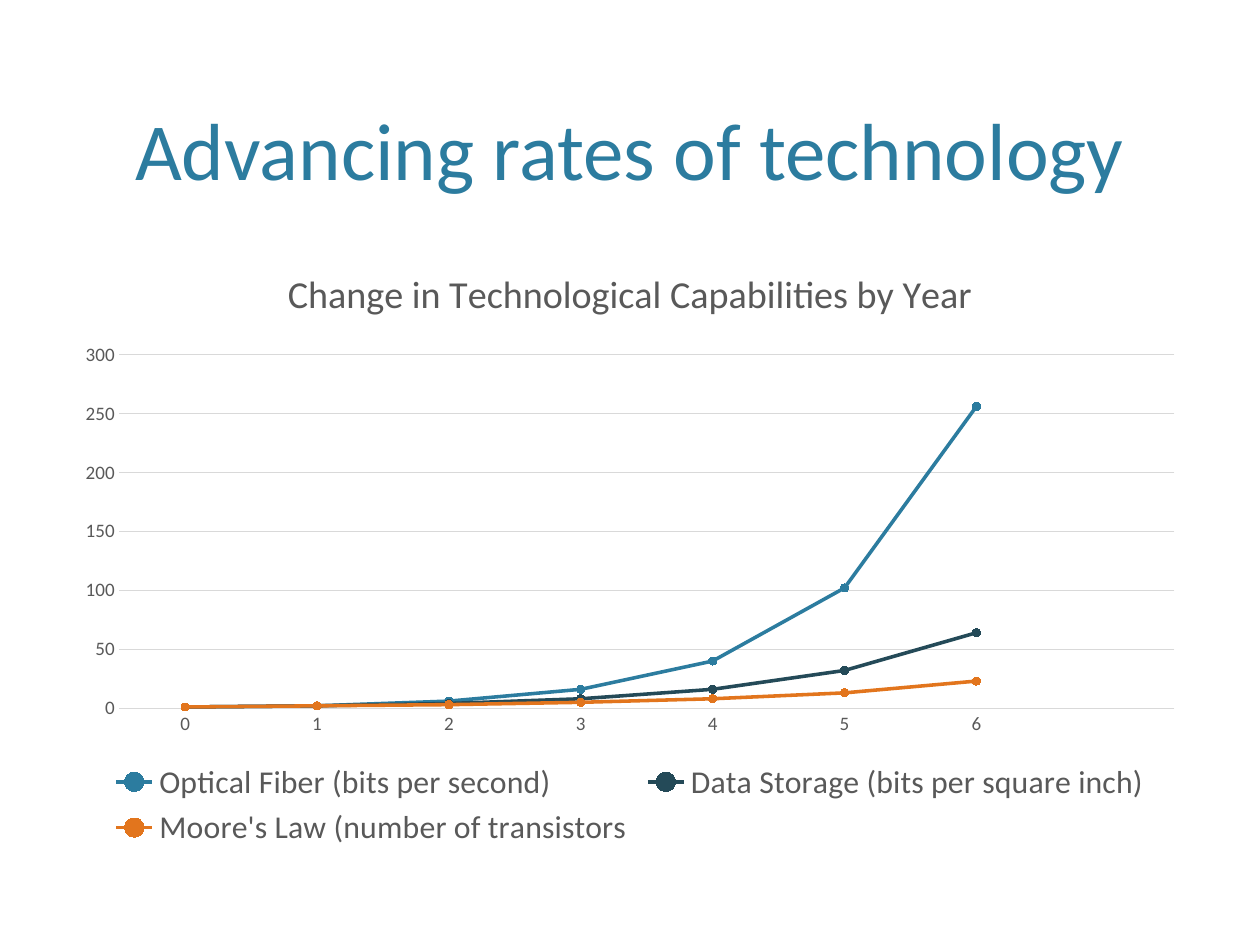
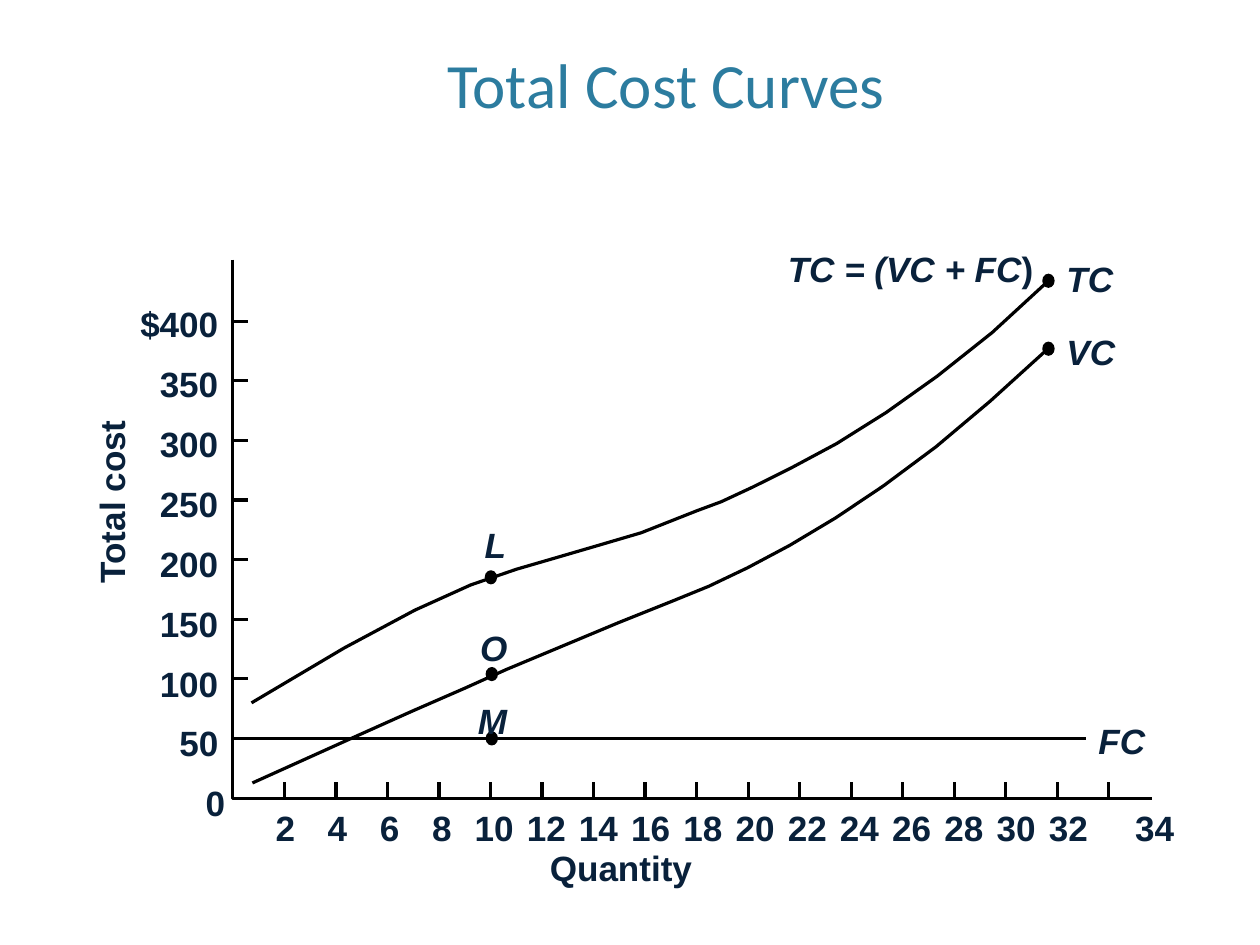
from pptx import Presentation
from pptx.chart.data import CategoryChartData
from pptx.dml.color import RGBColor
from pptx.enum.chart import (XL_CHART_TYPE, XL_LEGEND_POSITION,
                             XL_MARKER_STYLE, XL_TICK_MARK)
from pptx.enum.shapes import MSO_CONNECTOR, MSO_SHAPE
from pptx.enum.text import MSO_ANCHOR, PP_ALIGN
from pptx.oxml.ns import qn
from pptx.util import Cm, Pt
from lxml import etree

TEAL, NAVY, BLACK = "2C7C9F", "09213B", "000000"
GREY, LIGHT_GREY = "595959", "D9D9D9"
LEFT, CENTER, RIGHT = PP_ALIGN.LEFT, PP_ALIGN.CENTER, PP_ALIGN.RIGHT

# Slide 1
CHART_TITLE = "Change in Technological Capabilities by Year"
YEARS = ["0", "1", "2", "3", "4", "5", "6", ""]
RATES = [
    ("Optical Fiber (bits per second)", TEAL, [1, 2, 6, 16, 40, 102, 256, None]),
    ("Data Storage (bits per square inch)", "244A58", [1, 2, 4, 8, 16, 32, 64, None]),
    ("Moore's Law (number of transistors", "E2751D", [1, 2, 3, 5, 8, 13, 23, None]),
]

# Slide 2, lengths in centimetres
AXIS_X, AXIS_Y = 5.16, 17.75
AXES = [(AXIS_X, 5.77), (AXIS_X, AXIS_Y), (25.6, AXIS_Y)]
FC_Y = 16.41
TC_CURVE = [
    (5.59, 15.62), (7.65, 14.4), (9.22, 13.56), (10.46, 13), (11.48, 12.65),
    (12.34, 12.4), (13.23, 12.14), (14.25, 11.84), (15.49, 11.35),
    (16.03, 11.15), (16.74, 10.82), (17.6, 10.39), (18.59, 9.86),
    (19.69, 9.17), (20.83, 8.36), (22.05, 7.39), (23.29, 6.25),
]
VC_CURVE = [
    (5.61, 17.4), (7.65, 16.48), (9.17, 15.8), (10.34, 15.29), (11.25, 14.88),
    (12.04, 14.55), (12.83, 14.22), (13.74, 13.84), (14.94, 13.36),
    (15.75, 13.03), (16.61, 12.62), (17.55, 12.12), (18.57, 11.51),
    (19.63, 10.8), (20.8, 9.93), (22, 8.92), (23.29, 7.75),
]
DOTS = [(10.91, 12.83), (10.93, 14.98), (10.93, FC_Y), (23.3, 6.24), (23.3, 7.75)]
COSTS = ["$400", "350", "300", "250", "200", "150", "100", "50"]
QUANTITIES = [str(q) for q in range(2, 33, 2)]
POINT_LABELS = [
    ("L", 10.77, 11.63), ("O", 10.67, 13.92), ("M", 10.62, 15.54),
    ("TC", 23.7, 5.72), ("VC", 23.7, 7.34), ("FC", 24.41, 15.98),
]
FORMULA = [("TC = (VC + FC", True), (")", False)]


def rgb(color):
    return RGBColor.from_string(color)


def evenly(start, end, count):
    return [start + i * (end - start) / (count - 1) for i in range(count)]


def set_font(font, size, color, name="Calibri", bold=False, italic=False):
    font.size, font.name = Pt(size), name
    font.bold, font.italic = bold, italic
    font.color.rgb = rgb(color)


def add_text(slide, content, x, y, w, h=1, align=LEFT, anchor=MSO_ANCHOR.TOP,
             rotation=0, size=22.1, color=NAVY, name="Arial", bold=True,
             italic=False):
    """Add a box without insets; content is a string or (text, italic) runs."""
    sp = slide.shapes.add_textbox(Cm(x), Cm(y), Cm(w), Cm(h))
    sp.rotation = rotation
    tf = sp.text_frame
    tf.word_wrap = True
    tf.vertical_anchor = anchor
    tf.margin_left = tf.margin_right = tf.margin_top = tf.margin_bottom = 0
    p = tf.paragraphs[0]
    p.alignment = align
    runs = [(content, italic)] if isinstance(content, str) else content
    for text, slanted in runs:
        r = p.add_run()
        r.text = text
        set_font(r.font, size, color, name, bold, slanted)


def add_title(slide, text, x, y, w, h, size):
    add_text(slide, text, x, y, w, h, align=CENTER, anchor=MSO_ANCHOR.BOTTOM,
             size=size, color=TEAL, name="Calibri", bold=False)


def set_line(line, color=BLACK, width=2):
    line.color.rgb = rgb(color)
    line.width = Pt(width)


def add_line(slide, x1, y1, x2, y2):
    ln = slide.shapes.add_connector(MSO_CONNECTOR.STRAIGHT,
                                    Cm(x1), Cm(y1), Cm(x2), Cm(y2))
    set_line(ln.line)
    etree.SubElement(ln._element.spPr, qn("a:effectLst"))


def add_polyline(slide, points):
    points = [(Cm(x), Cm(y)) for x, y in points]
    builder = slide.shapes.build_freeform(*points[0])
    builder.add_line_segments(points[1:], close=False)
    sp = builder.convert_to_shape()
    sp.shadow.inherit = False
    sp.fill.background()
    set_line(sp.line)


def add_dot(slide, x, y, w=0.24, h=0.28):
    sp = slide.shapes.add_shape(MSO_SHAPE.OVAL, Cm(x - w / 2), Cm(y - h / 2),
                                Cm(w), Cm(h))
    sp.shadow.inherit = False
    sp.fill.solid()
    sp.fill.fore_color.rgb = rgb(BLACK)
    set_line(sp.line, width=1)


def add_rates_chart(slide):
    data = CategoryChartData()
    data.categories = YEARS
    for name, _, values in RATES:
        data.add_series(name, values)
    chart = slide.shapes.add_chart(XL_CHART_TYPE.LINE_MARKERS, Cm(1.4), Cm(5.41),
                                   Cm(25.2), Cm(13.56), data).chart
    set_font(chart.font, 10, BLACK)

    chart.has_title = True
    tf = chart.chart_title.text_frame
    tf.text = CHART_TITLE
    set_font(tf.paragraphs[0].runs[0].font, 24, GREY)
    chart.chart_title.include_in_layout = False

    chart.has_legend = True
    chart.legend.position = XL_LEGEND_POSITION.BOTTOM
    chart.legend.include_in_layout = False
    set_font(chart.legend.font, 20, GREY)

    for axis in (chart.category_axis, chart.value_axis):
        axis.major_tick_mark = axis.minor_tick_mark = XL_TICK_MARK.NONE
        set_font(axis.tick_labels.font, 12, GREY)
    set_line(chart.category_axis.format.line, LIGHT_GREY, 0.75)
    chart.value_axis.format.line.fill.background()
    chart.value_axis.has_major_gridlines = True
    set_line(chart.value_axis.major_gridlines.format.line, LIGHT_GREY, 0.75)

    chart.plots[0].vary_by_categories = False
    for series, (_, color, _) in zip(chart.plots[0].series, RATES):
        series.smooth = False
        set_line(series.format.line, color, 2.25)
        marker = series.marker
        marker.style, marker.size = XL_MARKER_STYLE.CIRCLE, 5
        marker.format.fill.solid()
        marker.format.fill.fore_color.rgb = rgb(color)
        set_line(marker.format.line, color, 0.75)


def add_cost_axes(slide):
    add_polyline(slide, AXES)
    for x in evenly(6.32, 24.64, len(QUANTITIES) + 1):
        add_line(slide, x, AXIS_Y, x, AXIS_Y - 0.38)
    for y in evenly(7.14, FC_Y, len(COSTS)):
        add_line(slide, AXIS_X, y, AXIS_X + 0.35, y)
    for i, cost in enumerate(COSTS):
        add_text(slide, cost, 2.85, 6.73 + 1.33 * i, 2, align=RIGHT)
    add_text(slide, "0", 3, 17.37, 2, align=RIGHT)

    centers = [6.34 + 1.16 * i for i in range(len(QUANTITIES))] + [25.66]
    for quantity, x in zip(QUANTITIES + ["34"], centers):
        add_text(slide, quantity, x - 0.55, 17.91, 1.1, align=CENTER)
    add_text(slide, "Total cost", 0, 10.65, 5, align=CENTER, rotation=-90)
    add_text(slide, "Quantity", 12.22, 18.82, 4)


def add_cost_curves(slide):
    add_line(slide, AXIS_X, FC_Y, 24.13, FC_Y)
    for curve in (TC_CURVE, VC_CURVE):
        add_polyline(slide, curve)
    for x, y in DOTS:
        add_dot(slide, x, y)
    for label, x, y in POINT_LABELS:
        add_text(slide, label, x, y, 2, italic=True)
    add_text(slide, FORMULA, 16.46, 5.49, 6.5, align=RIGHT)


def main():
    prs = Presentation()
    prs.slide_width, prs.slide_height = Cm(28), Cm(21)
    rates, costs = [prs.slides.add_slide(prs.slide_layouts[6]) for _ in range(2)]

    add_title(rates, "Advancing rates of technology", 1.68, 0.37, 24.63, 4, 51)
    add_rates_chart(rates)

    add_title(costs, "Total Cost Curves", 3.02, 0.7, 23.57, 2, 39.7)
    add_cost_axes(costs)
    add_cost_curves(costs)
    prs.save("out.pptx")


if __name__ == "__main__":
    main()
